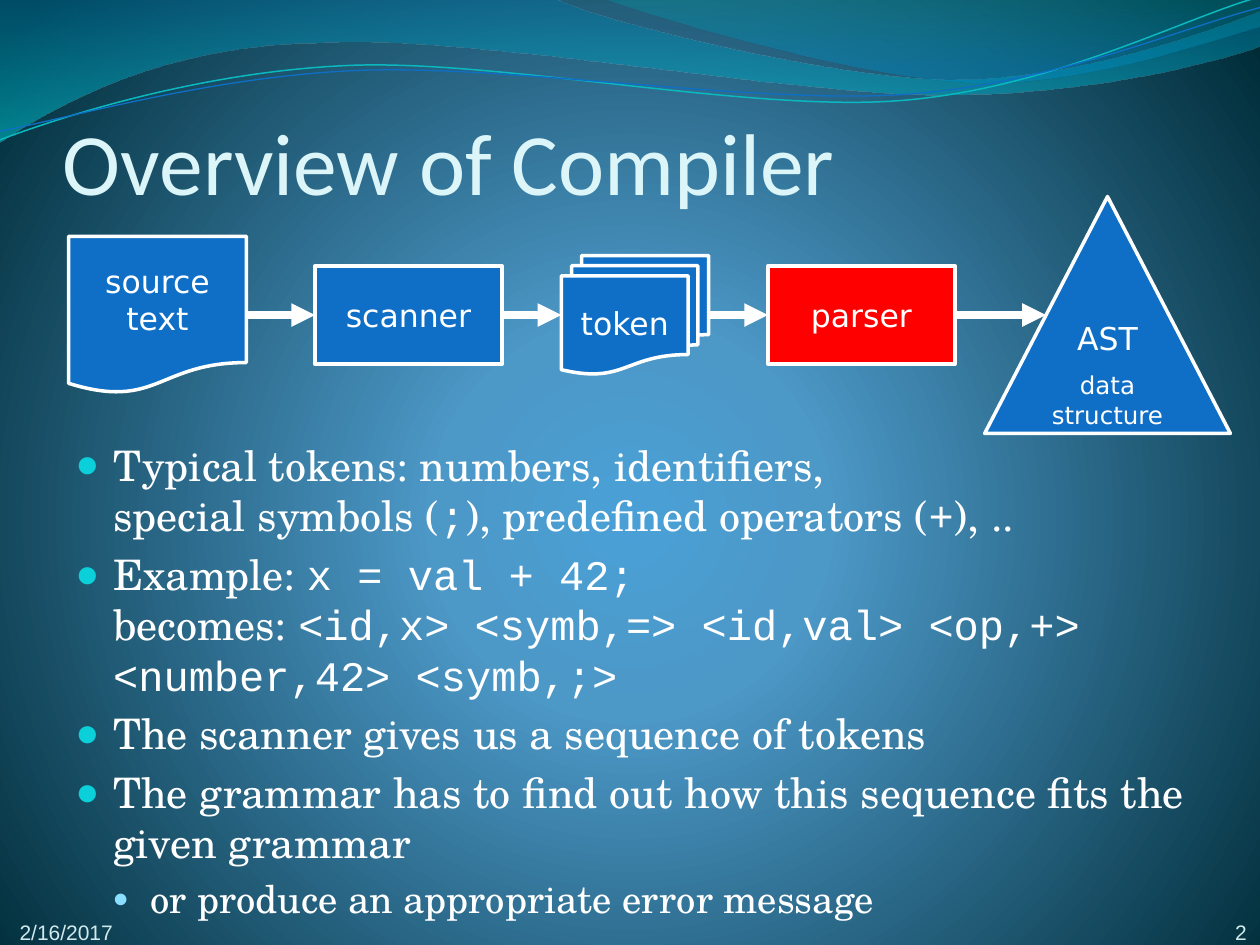
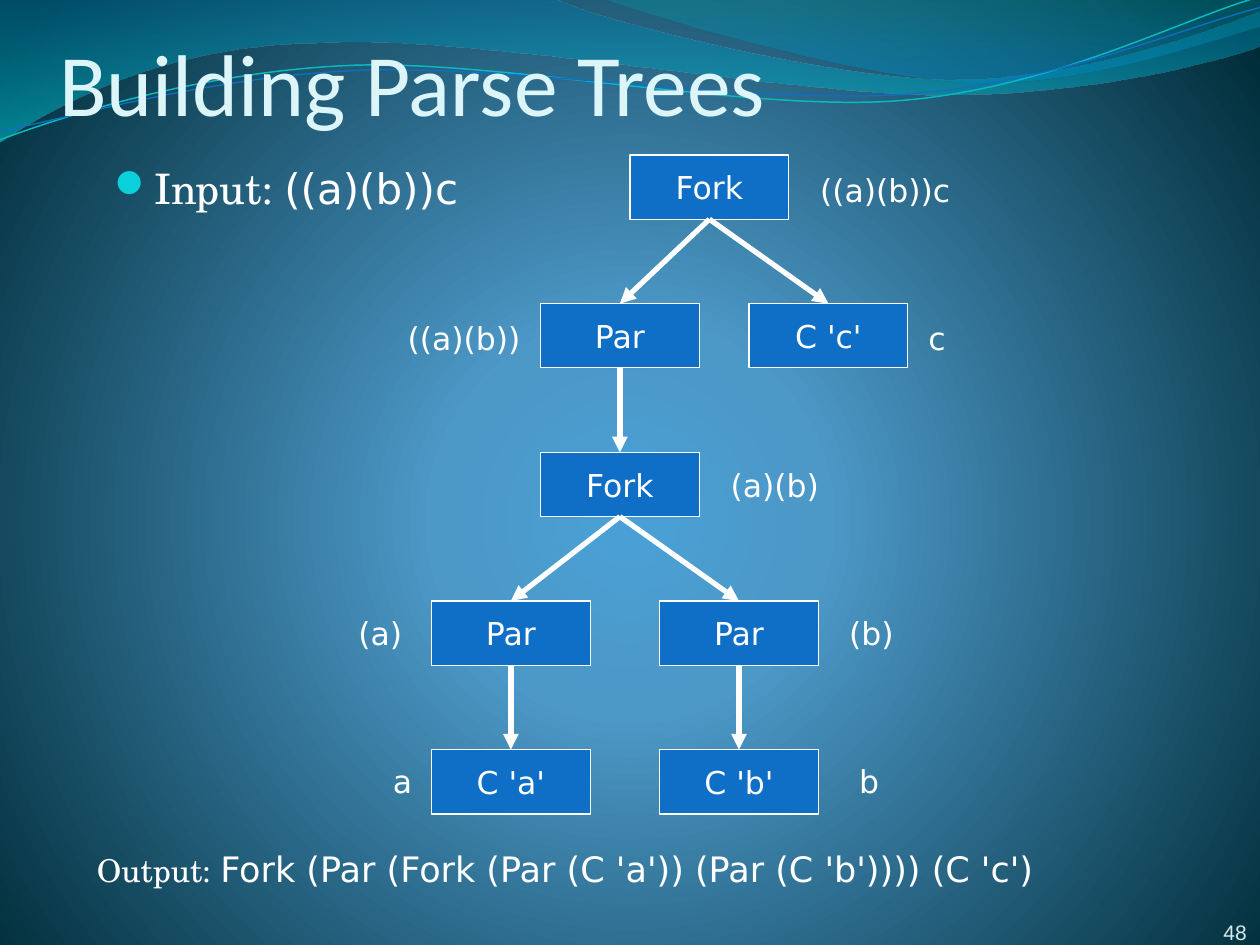
from pptx import Presentation
from pptx.dml.color import RGBColor
from pptx.enum.shapes import MSO_CONNECTOR, MSO_SHAPE
from pptx.enum.text import MSO_ANCHOR, PP_ALIGN
from pptx.oxml import parse_xml
from pptx.oxml.ns import nsdecls, qn
from pptx.util import Inches, Pt

WHITE, BLUE, RED, PALE, MIST = "FFFFFF", "0F6FC6", "FF0000", "DBF5F9", "D1EAEE"
AQUA, SKY = "0BD0D9", "8ADFFF"
SANS, SERIF, MONO = "DejaVu Sans", "TeX Gyre Schola", "Courier New"
LEFT, MID, RIGHT = PP_ALIGN.LEFT, PP_ALIGN.CENTER, PP_ALIGN.RIGHT

deck = Presentation()
deck.slide_width, deck.slide_height = Inches(10), Inches(7.5)
# The grid has 100 columns and 75 rows of square cells.
CELL = deck.slide_width // 100


def paint(fill, tint):
    """Fill solidly with a hex colour."""
    fill.solid()
    fill.fore_color.rgb = RGBColor.from_string(tint)


def write(page, at, *paras, form=None, fill=BLUE, edge=2, size=18, font=SANS,
          ink=WHITE, align=LEFT, anchor=MSO_ANCHOR.TOP, inset=(1, 0.5, 1, 0.5),
          gaps=(), marks=()):
    """Add a text box or filled form; a run is text or (text, font, size)."""
    spot = [int(v * CELL) for v in at]
    if form is None:
        box = page.shapes.add_textbox(*spot)
    else:
        box = page.shapes.add_shape(form, *spot)
        box.shadow.inherit = False
        paint(box.fill, fill)
        paint(box.line.fill, WHITE)
        box.line.width = Pt(edge)
    frame = box.text_frame
    frame.word_wrap, frame.vertical_anchor = True, anchor
    (frame.margin_left, frame.margin_top, frame.margin_right,
     frame.margin_bottom) = [int(v * CELL) for v in inset]
    for i, runs in enumerate(paras):
        para = frame.paragraphs[0] if i == 0 else frame.add_paragraph()
        para.alignment = align
        if gaps:
            para.space_before = Pt(gaps[i])
        if marks:
            left, tint, share, face, sign = marks[i]
            prop = para._p.get_or_add_pPr()
            prop.set("marL", str(int(left * CELL)))
            prop.set("indent", str(-3 * CELL))
            for tag in (f'<a:buClr {nsdecls("a")}><a:srgbClr val="{tint}"/></a:buClr>',
                        f'<a:buSzPct {nsdecls("a")} val="{share * 1000}"/>',
                        f'<a:buFont {nsdecls("a")} typeface="{face}"/>',
                        f'<a:buChar {nsdecls("a")} char="{sign}"/>'):
                prop.append(parse_xml(tag))
        for part in [runs] if isinstance(runs, str) else runs:
            text, face, high = (part, font, size) if isinstance(part, str) else part
            for j, line in enumerate(text.split("\n")):
                if j:
                    para.add_line_break()
                if line:
                    run = para.add_run()
                    run.text = line
                    run.font.name, run.font.size = face, Pt(high)
                    paint(run.font.fill, ink)


# Shared background, waves, titles and footers
master = deck.slide_master
blends = [(master, master.background.fill,
           [(0, "4AA0D6", 100), (25, "4C98C7", 100), (100, "002C38", 100)],
           '<a:path path="circle"><a:fillToRect l="10000" t="110000" '
           'r="10000" b="100000"/></a:path>')]
DOWN = '<a:lin ang="5400000" scaled="0"/>'

# A pair is a corner; six numbers are a cubic curve.
waves = [
    ([(0, -0.1), (44, -0.1), (47.6, 1.7, 66.4, 6.3, 75.8, 6.3),
      (85.3, 6.3, 95.8, 2.6, 100, 0.9), (100.1, 3.6),
      (98.3, 4.4, 87, 7.6, 74.6, 7.5), (62.2, 7.5, 38.2, 2.8, 25.7, 3.4),
      (12.9, 3.5, 4.6, 8.3, -0.1, 11.3)],
     [(0, "0074A1", 45), (100, "00C6CF", 55)], None),
    ([(47.9, -0.1), (50.9, 1.1, 68.2, 6.2, 76.9, 6.5),
      (85.6, 6.9, 96.1, 3.2, 100, 2.1), (100, 0)],
     [(0, "00A1A9", 30), (80, "008BBF", 45)], None),
    ([(0, 11.1), (4.8, 9.3, 15.8, 5.7, 27.7, 5.2),
      (39.5, 4.7, 59.3, 8.9, 71.3, 8), (83.3, 7.1, 93.8, 1.5, 99.8, -0.2)],
     None, ("0AB8BF", 0.85)),
    ([(0, 10.4), (4.7, 9.6, 16.4, 6.1, 28.3, 5.6),
      (40.3, 5.1, 59.7, 8.3, 71.7, 7.5), (83.6, 6.7, 94.1, 2.1, 100, 0.6)],
     None, (BLUE, 0.75)),
]
pages = []
for title, left, top, number in [("Overview of Compiler", 5, 6.2, "2"),
                                 ("Building Parse Trees", 4.7, 0, "48")]:
    page = deck.slides.add_slide(deck.slide_layouts[6])
    pages.append(page)
    for legs, stops, pen in waves:
        legs = [[int(v * CELL) for v in leg] for leg in legs]
        dots = [leg[-2:] for leg in legs]
        pencil = page.shapes.build_freeform(*dots[0])
        pencil.add_line_segments(dots[1:], close=pen is None)
        wave = pencil.convert_to_shape()
        wave.shadow.inherit = False
        # Bend the straight legs that have control points.
        sides = list(wave._element.iter(qn("a:lnTo")))
        for side, leg in zip(sides, legs[1:]):
            if len(leg) == 6:
                knots = "".join(f'<a:pt x="{x - wave.left}" y="{y - wave.top}"/>'
                                for x, y in zip(leg[::2], leg[1::2]))
                side.getparent().replace(side, parse_xml(
                    f'<a:cubicBezTo {nsdecls("a")}>{knots}</a:cubicBezTo>'))
        if pen:
            wave.fill.background()
            paint(wave.line.fill, pen[0])
            wave.line.width = Pt(pen[1])
        else:
            wave.line.fill.background()
            blends.append((wave, wave.fill, stops, DOWN))
    write(page, (left, top, 92.7, 12.5), title, size=50, font="Calibri",
          ink=PALE, anchor=MSO_ANCHOR.MIDDLE, inset=(0, 0.5, 0, 0))
    write(page, (90.65, 72.6, 8.3, 2.4), number, size=12, font="Arial", ink=MIST,
          align=RIGHT, anchor=MSO_ANCHOR.BOTTOM, inset=(0, 0, 0, 0))

for host, fill, stops, aim in blends:
    fill.gradient()
    old = next(host._element.iter(qn("a:gradFill")))
    tags = "".join(f'<a:gs pos="{pos * 1000}"><a:srgbClr val="{tint}">'
                   f'<a:alpha val="{dense * 1000}"/></a:srgbClr></a:gs>'
                   for pos, tint, dense in stops)
    old.getparent().replace(old, parse_xml(
        f'<a:gradFill {nsdecls("a")} rotWithShape="1"><a:gsLst>{tags}</a:gsLst>'
        f'{aim}</a:gradFill>'))

# Slide 1: compiler stages
flow, tree = pages
write(flow, (1.55, 72.7, 14.8, 2.3), "2/16/2017", size=12, font="Arial", ink=MIST,
      anchor=MSO_ANCHOR.BOTTOM, inset=(0, 0, 0, 0))
BIG, SMALL = (3, AQUA, 95, "Arial", "●"), (5.95, SKY, 70, "Arial", "●")
write(flow, (5, 34.35, 92.7, 37.5),
      ["Typical tokens: numbers, identifiers,\nspecial symbols (", (";", MONO, 24),
       "), predefined operators (", ("+", MONO, 24), "), .."],
      ["Example: ", ("x = val + 42;\n", MONO, 24), "becomes: ",
       ("<id,x> <symb,=> <id,val> <op,+> <number,42> <symb,;>", MONO, 24)],
      "The scanner gives us a sequence of tokens",
      "The grammar has to find out how this sequence fits the given grammar",
      [("or produce an appropriate error message", SERIF, 22)],
      size=24, font=SERIF, gaps=[4.8] * 4 + [4.4], marks=[BIG] * 4 + [SMALL])

AXIS = 25
stages = [
    (MSO_SHAPE.FLOWCHART_DOCUMENT, 5.45, 14.1, 12.5, BLUE, ["source", "text"]),
    (MSO_SHAPE.FLOWCHART_PROCESS, 25, 14.85, 7.8, BLUE, ["scanner"]),
    (MSO_SHAPE.FLOWCHART_MULTIDOCUMENT, 44.55, 11.7, 9.4, BLUE, ["token"]),
    (MSO_SHAPE.FLOWCHART_PROCESS, 60.95, 14.85, 7.8, RED, ["parser"]),
]
for form, left, wide, high, tint, words in stages:
    write(flow, (left, AXIS - high / 2, wide, high), *words, form=form, fill=tint,
          align=MID, anchor=MSO_ANCHOR.MIDDLE)
write(flow, (78.15, 15.6, 19.5, 18.8), "AST", [("data\nstructure", SANS, 14)],
      form=MSO_SHAPE.ISOSCELES_TRIANGLE, align=MID, anchor=MSO_ANCHOR.MIDDLE,
      inset=(0.4, 0.4, 0.4, 0.4), gaps=(0, 7.5))
heads = [stage[1] for stage in stages[1:]] + [83]
arrows = [(flow, 4.5, stage[1] + stage[2], AXIS, head, AXIS)
          for stage, head in zip(stages, heads)]

# Slide 2: parse tree
write(tree, (8, 12.4, 61.7, 5.4), ["Input: ", ("((a)(b))c", SANS, 24)],
      size=24, font=SERIF, marks=[(3.1, AQUA, 95, "Wingdings", "l")])
write(tree, (6.7, 66.8, 89.8, 5.4),
      ["Output:", (" ", SERIF, 20),
       ("Fork (Par (Fork (Par (C 'a')) (Par (C 'b')))) (C 'c')", SANS, 20)],
      font=SERIF, gaps=[4])

WIDE, HIGH, TOP, PITCH, SPAN = 12.6, 5.1, 12.3, 11.8, 18.8
# Text, centre column, level, input part, its gap (negative: left), parent
nodes = [
    ("Fork", 56.3, 0, "((a)(b))c", 1.5, None),
    ("Par", 49.2, 1, "((a)(b))", -0.6, 0),
    ("C 'c'", 65.75, 1, "c", 0.65, 0),
    ("Fork", 49.2, 2, "(a)(b)", 1.5, 1),
    ("Par", 40.55, 3, "(a)", -1.35, 3),
    ("Par", 58.65, 3, "(b)", 1.45, 3),
    ("C 'a'", 40.55, 4, "a", -0.55, 4),
    ("C 'b'", 58.65, 4, "b", 2.25, 5),
]
for name, mid, level, part, gap, up in nodes:
    top = TOP + level * PITCH
    write(tree, (mid - WIDE / 2, top, WIDE, HIGH), name, form=MSO_SHAPE.RECTANGLE,
          edge=0.75, align=MID, anchor=MSO_ANCHOR.MIDDLE)
    left = mid + WIDE / 2 + gap if gap > 0 else mid - WIDE / 2 + gap - SPAN
    write(tree, (left, 12.5 + level * 11.73, SPAN, HIGH), part,
          align=LEFT if gap > 0 else RIGHT, anchor=MSO_ANCHOR.MIDDLE)
    if up is not None:
        arrows.append((tree, 3, nodes[up][1], top - PITCH + HIGH, mid, top))

# Arrows of both slides
for page, thick, *ends in arrows:
    arrow = page.shapes.add_connector(MSO_CONNECTOR.STRAIGHT,
                                      *[int(v * CELL) for v in ends])
    paint(arrow.line.fill, WHITE)
    arrow.line.width = Pt(thick)
    prop = arrow._element.spPr
    prop.find(qn("a:ln")).append(
        parse_xml(f'<a:tailEnd {nsdecls("a")} type="triangle"/>'))
    prop.append(parse_xml(f'<a:effectLst {nsdecls("a")}/>'))

deck.save("out.pptx")
